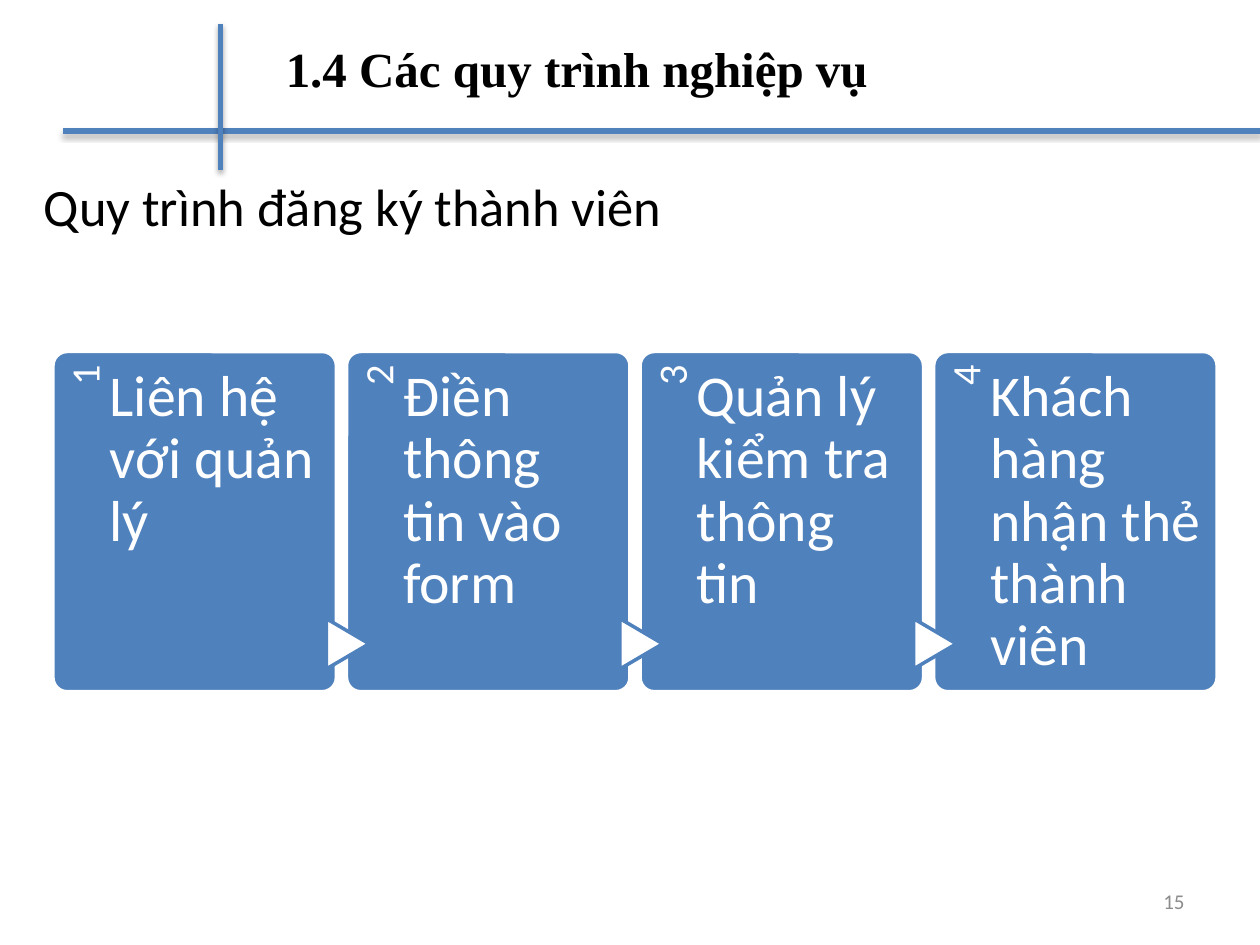
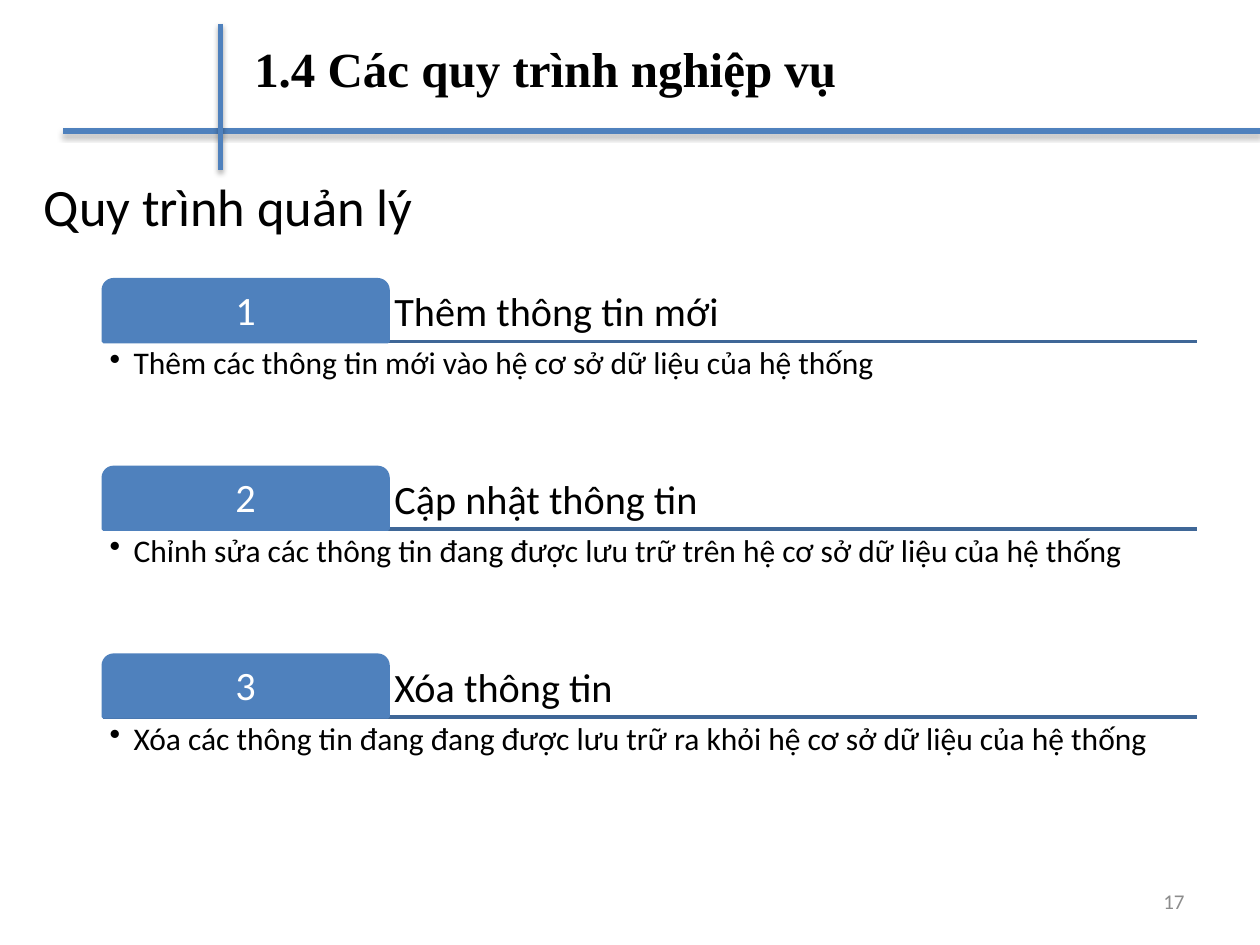
from lxml import etree
from pptx import Presentation
from pptx.dml.color import RGBColor
from pptx.enum.shapes import MSO_CONNECTOR, MSO_SHAPE
from pptx.enum.text import MSO_ANCHOR, PP_ALIGN
from pptx.oxml import parse_xml
from pptx.oxml.ns import nsdecls, qn
from pptx.util import Inches, Pt

BLUE = RGBColor(0x4F, 0x81, 0xBD)
DARK_BLUE = RGBColor(0x3F, 0x67, 0x97)
WHITE = RGBColor(0xFF, 0xFF, 0xFF)
BLACK = RGBColor(0, 0, 0)
GREY = RGBColor(0x8C, 0x8C, 0x8C)
BODY_FONT = "Calibri"
TITLE_FONT = "Times New Roman"
TITLE = "1.4 Các quy trình nghiệp vụ"
SHADOW = (
    f'<a:effectLst {nsdecls("a")}>'
    '<a:outerShdw blurRad="40000" dist="23000" dir="5400000" rotWithShape="0">'
    '<a:srgbClr val="000000"><a:alpha val="35000"/></a:srgbClr>'
    "</a:outerShdw></a:effectLst>"
)
PLAIN = f'<a:effectLst {nsdecls("a")}/>'

REGISTRATION_STEPS = [
    "Liên hệ với quản lý",
    "Điền thông tin vào form",
    "Quản lý kiểm tra thông tin",
    "Khách hàng nhận thẻ thành viên",
]
MANAGEMENT_TASKS = [
    ("Thêm thông tin mới",
     "Thêm các thông tin mới vào hệ cơ sở dữ liệu của hệ thống"),
    ("Cập nhật thông tin",
     "Chỉnh sửa các thông tin đang được lưu trữ trên hệ cơ sở dữ liệu của hệ thống"),
    ("Xóa thông tin",
     "Xóa các thông tin đang đang được lưu trữ ra khỏi hệ cơ sở dữ liệu của hệ thống"),
]


def write(sp, content, size, color, font=BODY_FONT, bold=False, align=PP_ALIGN.LEFT,
          anchor=MSO_ANCHOR.TOP, insets=(0.1, 0.05, 0.1, 0.05), spacing=None, bullet=False):
    """Write one formatted paragraph into a shape."""
    tf = sp.text_frame
    tf.word_wrap = True
    tf.vertical_anchor = anchor
    tf.margin_left, tf.margin_top, tf.margin_right, tf.margin_bottom = map(Inches, insets)
    p = tf.paragraphs[0]
    p.alignment = align
    p.line_spacing = spacing
    if bullet:
        props = p._p.get_or_add_pPr()
        props.set("marL", str(Inches(0.19)))
        props.set("indent", str(Inches(-0.19)))
        etree.SubElement(props, qn("a:buChar")).set("char", "•")
    r = p.add_run()
    r.text = content
    r.font.name, r.font.size, r.font.bold = font, Pt(size), bold
    r.font.color.rgb = color


def add_text(s, x, y, w, h, content, size, color, **style):
    """Add a text box and return it."""
    sp = s.shapes.add_textbox(Inches(x), Inches(y), Inches(w), Inches(h))
    write(sp, content, size, color, **style)
    return sp


def add_shape(s, kind, x, y, w, h, fill, line, adjustments=()):
    """Add a flat preset shape with a 2 pt outline."""
    sp = s.shapes.add_shape(kind, Inches(x), Inches(y), Inches(w), Inches(h))
    sp.shadow.inherit = False
    sp.fill.solid()
    sp.fill.fore_color.rgb = fill
    sp.line.color.rgb = line
    sp.line.width = Pt(2)
    for i, value in enumerate(adjustments):
        sp.adjustments[i] = value
    return sp


def add_line(s, x1, y1, x2, y2, color, width, effect=PLAIN):
    """Add a straight line with the given effect list."""
    line = s.shapes.add_connector(
        MSO_CONNECTOR.STRAIGHT, Inches(x1), Inches(y1), Inches(x2), Inches(y2))
    line.line.color.rgb = color
    line.line.width = Pt(width)
    line._element.spPr.append(parse_xml(effect))


def add_frame(prs, title_x, heading, number):
    """Add a slide with the crossed rules, title, heading and page number."""
    s = prs.slides.add_slide(prs.slide_layouts[6])
    add_line(s, 0.5, 1.04, 10, 1.04, BLUE, 3, SHADOW)
    add_line(s, 1.75, 0.19, 1.75, 1.35, BLUE, 3, SHADOW)
    add_text(s, 7.17, 6.95, 2.33, 0.4, number, 12, GREY,
             align=PP_ALIGN.RIGHT, anchor=MSO_ANCHOR.MIDDLE)
    add_text(s, 0.25, 1.33, 8.83, 0.61, heading, 30, BLACK)
    add_text(s, title_x, 0.26, 5, 1.08, TITLE, 28, BLACK, font=TITLE_FONT, bold=True)
    return s


def add_step_card(s, x, y, w, h, number, label):
    """Add a numbered card, with an arrow from the card before it."""
    add_shape(s, MSO_SHAPE.ROUNDED_RECTANGLE, x, y, w, h, BLUE, WHITE, [0.05])
    side = add_text(s, x - 0.88, y + 0.88, 2.22, 0.45, str(number), 23, WHITE,
                    align=PP_ALIGN.RIGHT, insets=(0, 0.09, 0.11, 0), spacing=0.9)
    side.rotation = 270
    if number > 1:
        arrow = add_shape(s, MSO_SHAPE.FLOWCHART_EXTRACT, x - 0.19, y + 2.15, 0.4, 0.34,
                          WHITE, BLUE)
        arrow.rotation = 90
    add_text(s, x + 0.45, y, w - 0.57, h, label, 33, WHITE,
             insets=(0, 0.12, 0, 0), spacing=0.9)


def add_step_row(s, x, y, w, h, gap, steps):
    """Lay the step cards out from left to right."""
    for i, label in enumerate(steps):
        add_step_card(s, x + i * (w + gap), y, w, h, i + 1, label)


def add_task(s, x, y, w, number, name, detail):
    """Add a numbered tab with its name, rule and bullet."""
    tab_w, tab_h = 2.26, 0.49
    style = {"insets": (0.05,) * 4, "spacing": 0.9}
    add_line(s, x, y + tab_h, x + w, y + tab_h, DARK_BLUE, 2)
    add_text(s, x + tab_w, y, w - tab_w, tab_h, name, 23, BLACK,
             anchor=MSO_ANCHOR.BOTTOM, **style)
    tab = add_shape(s, MSO_SHAPE.ROUND_2_SAME_RECTANGLE, x, y, tab_w, tab_h,
                    BLUE, BLUE, [0.167, 0])
    write(tab, str(number), 23, WHITE, align=PP_ALIGN.CENTER,
          anchor=MSO_ANCHOR.MIDDLE, **style)
    add_text(s, x, y + tab_h, w, 0.98, detail, 18, BLACK, bullet=True, **style)


def add_task_list(s, x, y, w, pitch, tasks):
    """Stack the tasks at an even pitch."""
    for i, (name, detail) in enumerate(tasks):
        add_task(s, x, y + i * pitch, w, i + 1, name, detail)


def main():
    """Build and save both slides."""
    prs = Presentation()
    prs.slide_width, prs.slide_height = Inches(10), Inches(7.5)
    s = add_frame(prs, 2.17, "Quy trình đăng ký thành viên", "15")
    add_step_row(s, 0.42, 2.79, 2.25, 2.7, 0.08, REGISTRATION_STEPS)
    s = add_frame(prs, 1.92, "Quy trình quản lý", "17")
    add_task_list(s, 0.82, 2.22, 8.68, 1.49, MANAGEMENT_TASKS)
    prs.save("out.pptx")


if __name__ == "__main__":
    main()
